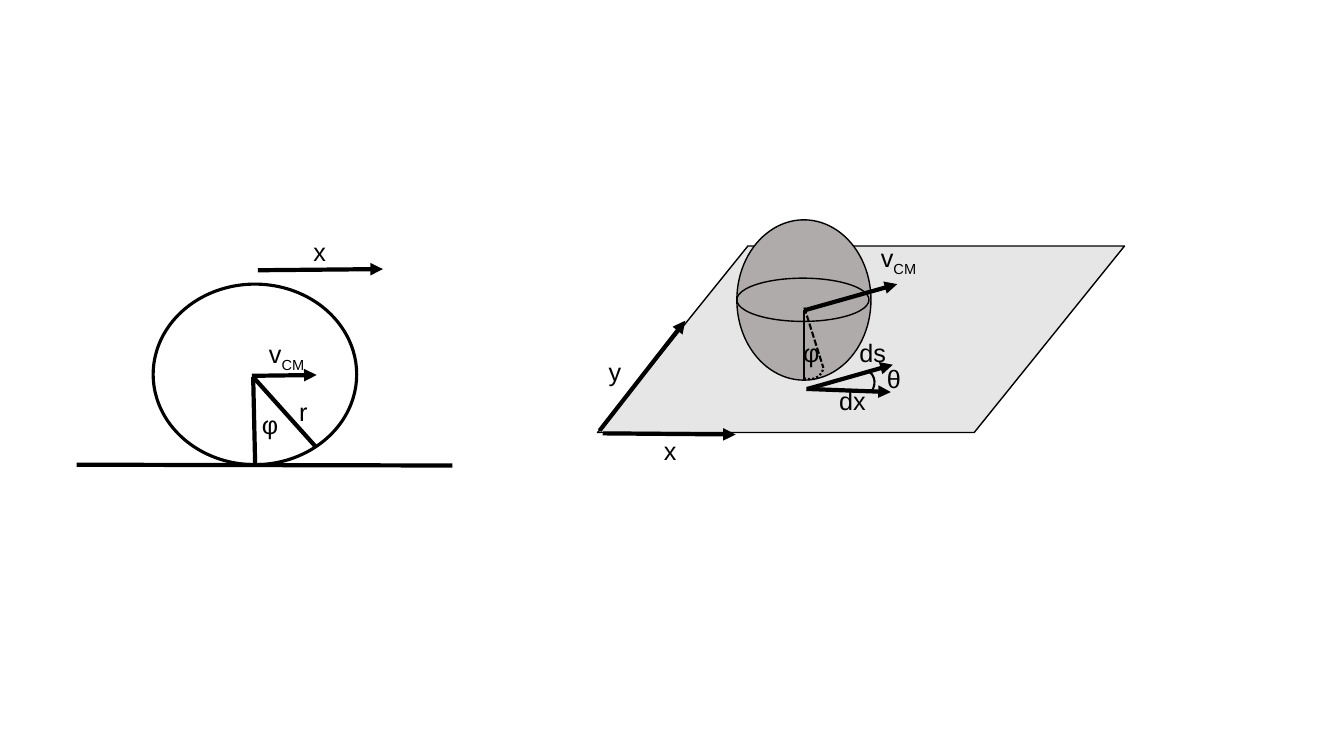
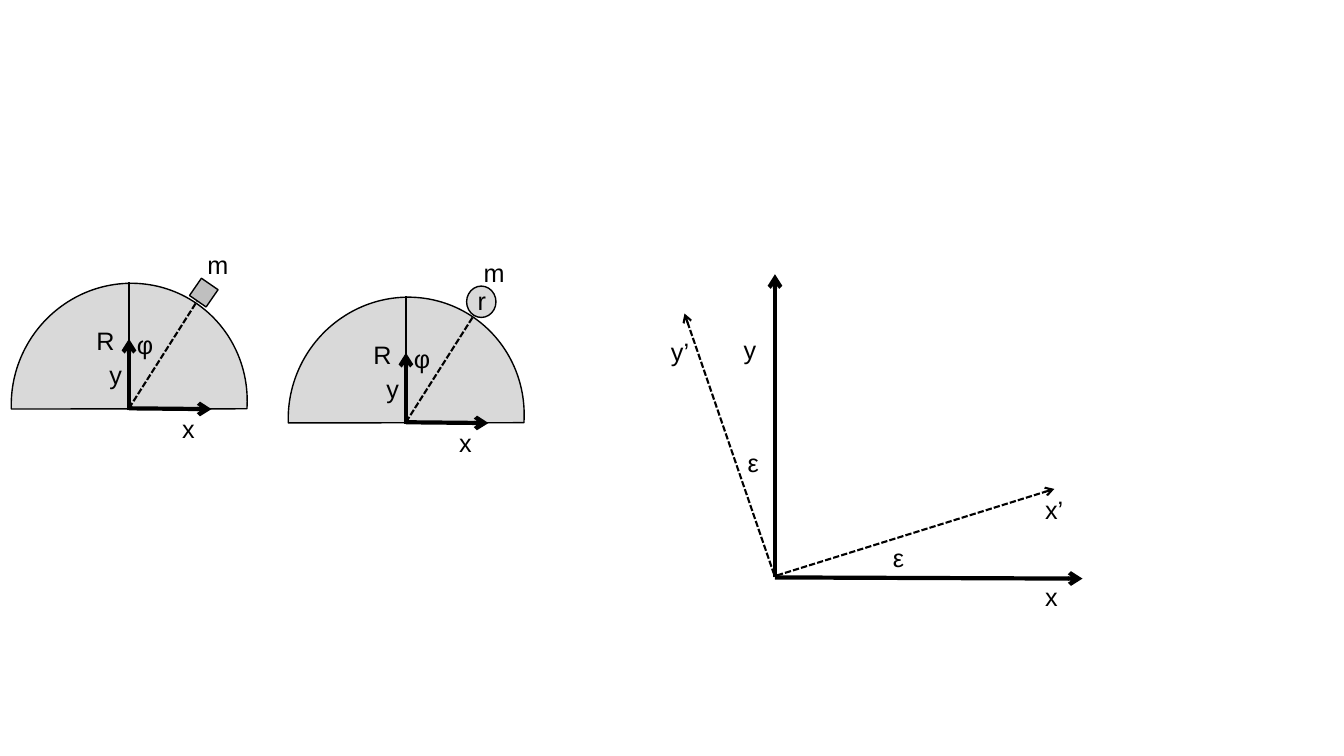
from dataclasses import dataclass

from lxml.etree import SubElement
from pptx import Presentation
from pptx.dml.color import RGBColor
from pptx.enum.dml import MSO_LINE_DASH_STYLE as Dash
from pptx.enum.shapes import MSO_CONNECTOR_TYPE as Link, MSO_SHAPE as Preset
from pptx.enum.text import MSO_AUTO_SIZE as AutoSize
from pptx.oxml.ns import qn
from pptx.util import Cm, Pt

# Shared style
COLORS = {
    "ink": "000000",
    "plane": "E7E6E6",
    "sphere": "AFABAB",
    "hill": "D9D9D9",
    "block": "BFBFBF",
}
FONT, TEXT_SIZE = "Arial", 18
HAIRLINE, THIN, MEDIUM, BOLD = 1, 1.5, 2.25, 3
LABEL_HEIGHT = 1.02
LABEL_WIDTHS = {
    "φ": 0.91, "r": 0.74, "x": 0.84, "y": 0.84, "vCM": 1.5, "θ": 0.86,
    "ds": 1.19, "dx": 1.19, "m": 1.04, "R": 0.97, "ε": 0.79,
    "x’": 0.97, "y’": 0.97,
}


# Elements, all lengths in centimetres
@dataclass
class Figure:
    preset: Preset
    left: float
    top: float
    width: float
    height: float
    fill: str = ""
    weight: float = HAIRLINE
    dash: Dash | None = None
    rotation: float = 0
    adjustments: tuple[float, ...] = ()


@dataclass
class Segment:
    start: tuple[float, float]
    end: tuple[float, float]
    weight: float = BOLD
    head: str = ""
    dash: Dash | None = None


@dataclass
class Label:
    left: float
    top: float
    text: str
    subscript: str = ""


Element = Figure | Segment | Label


def color(name: str) -> RGBColor:
    return RGBColor.from_string(COLORS[name])


def style_line(line, weight: float, dash: Dash | None) -> None:
    line.color.rgb = color("ink")
    line.width = Pt(weight)
    if dash is not None:
        line.dash_style = dash


def draw_figure(shapes, figure: Figure) -> None:
    shape = shapes.add_shape(figure.preset, Cm(figure.left), Cm(figure.top),
                             Cm(figure.width), Cm(figure.height))
    shape.shadow.inherit = False
    shape.rotation = figure.rotation
    for index, value in enumerate(figure.adjustments):
        shape.adjustments[index] = value
    if figure.fill:
        shape.fill.solid()
        shape.fill.fore_color.rgb = color(figure.fill)
    else:
        shape.fill.background()
    style_line(shape.line, figure.weight, figure.dash)


def draw_segment(shapes, segment: Segment) -> None:
    connector = shapes.add_connector(
        Link.STRAIGHT, *(Cm(value) for value in segment.start + segment.end))
    style_line(connector.line, segment.weight, segment.dash)
    if segment.head:
        SubElement(connector.get_or_add_ln(), qn("a:tailEnd"), type=segment.head)
    SubElement(connector._element.spPr, qn("a:effectLst"))


def draw_label(shapes, label: Label) -> None:
    width = LABEL_WIDTHS[label.text + label.subscript]
    box = shapes.add_textbox(Cm(label.left), Cm(label.top), Cm(width), Cm(LABEL_HEIGHT))
    frame = box.text_frame
    frame.word_wrap = False
    frame.auto_size = AutoSize.SHAPE_TO_FIT_TEXT
    para = frame.paragraphs[0]
    for text, baseline in ((label.text, 0), (label.subscript, -25000)):
        if not text:
            continue
        span = para.add_run()
        span.text = text
        span.font.name = FONT
        span.font.size = Pt(TEXT_SIZE)
        span.font.color.rgb = color("ink")
        if baseline:
            span._r.get_or_add_rPr().set("baseline", str(baseline))


DRAWERS = {Figure: draw_figure, Segment: draw_segment, Label: draw_label}


def draw_diagram(page, elements: list[Element]) -> None:
    group = page.shapes.add_group_shape()
    for element in elements:
        DRAWERS[type(element)](group.shapes, element)


def hill(x: float, y: float) -> list[Element]:
    """Half disc with its axes, centred on x, y."""
    return [
        Figure(Preset.CHORD, x - 3.02, y - 3.1, 6.05, 5.92, "hill",
               rotation=116.3, adjustments=(36.42, 147.96)),
        Segment((x, y), (x, y - 3.18), THIN),
        Segment((x, y), (x + 1.71, y - 2.69), THIN, dash=Dash.SQUARE_DOT),
        Label(x - 0.05, y - 2.11, "φ"),
        Label(x - 1.07, y - 2.21, "R"),
        Segment((x, y), (x + 2.08, y + 0.02), head="arrow"),
        Segment((x, y + 0.05), (x, y - 1.75), head="arrow"),
        Label(x + 1.09, y, "x"),
        Label(x - 0.74, y - 1.35, "y"),
    ]


# Slide 1: rolling wheel and rolling ball
rolling_wheel = [
    Segment((1.93, 11.71), (11.4, 11.73)),
    Figure(Preset.OVAL, 3.86, 7.16, 5.13, 4.55, weight=MEDIUM),
    Segment((6.38, 9.5), (7.95, 11.25)),
    Segment((6.38, 9.5), (6.43, 11.71)),
    Label(6.35, 10.19, "φ"),
    Label(7.29, 9.86, "r"),
    Segment((6.5, 6.81), (9.65, 6.78), head="triangle"),
    Label(7.65, 5.84, "x"),
    Segment((6.35, 9.47), (7.98, 9.45), head="triangle"),
    Label(6.53, 8.41, "v", "CM"),
]
rolling_ball = [
    Figure(Preset.PARALLELOGRAM, 15.06, 6.2, 13.28, 4.7, "plane", adjustments=(0.806,)),
    Figure(Preset.OVAL, 18.57, 5.54, 3.38, 4.04, "sphere"),
    Figure(Preset.OVAL, 18.57, 7.01, 3.33, 1.09),
    Segment((15.11, 10.85), (17.27, 8.08), head="triangle"),
    Segment((15.19, 10.92), (18.54, 10.95), head="triangle"),
    Label(16.48, 10.85, "x"),
    Label(15.09, 8.86, "y"),
    Segment((20.27, 7.82), (22.61, 7.16), head="triangle"),
    Label(21.95, 5.99, "v", "CM"),
    Segment((20.27, 7.8), (20.27, 9.58), THIN),
    Segment((20.27, 7.75), (20.75, 9.27), THIN, dash=Dash.SQUARE_DOT),
    Label(19.99, 8.38, "φ"),
    Figure(Preset.ARC, 20.04, 8.84, 0.66, 0.76, weight=THIN,
           dash=Dash.ROUND_DOT, rotation=105.3),
    Figure(Preset.ARC, 21.36, 9.3, 0.66, 0.76, weight=THIN, rotation=37.5),
    Label(22.1, 9.04, "θ"),
    Segment((20.35, 9.8), (22.5, 9.19), head="triangle"),
    Label(21.41, 8.38, "ds"),
    Segment((20.32, 9.8), (22.45, 9.88), head="triangle"),
    Label(20.9, 9.58, "dx"),
]

# Slide 2: bodies sliding off a hill and rotated axes
sliding_block = hill(3.25, 10.29) + [
    Figure(Preset.RECTANGLE, 4.88, 7.11, 0.51, 0.53, "block", rotation=34.6),
    Label(4.98, 6.15, "m"),
]
sliding_ball = hill(10.23, 10.64) + [
    Label(11.94, 6.35, "m"),
    Figure(Preset.OVAL, 11.76, 7.21, 0.74, 0.79, "hill"),
    Label(11.79, 7.06, "r"),
]
rotated_axes = [
    Segment((19.53, 14.55), (27.28, 14.58), head="arrow"),
    Segment((19.53, 14.55), (19.53, 6.91), head="arrow"),
    Label(26.09, 14.53, "x"),
    Label(18.49, 8.31, "y"),
    Segment((19.58, 14.5), (26.57, 12.32), THIN, "arrow", Dash.SQUARE_DOT),
    Label(22.25, 13.54, "ε"),
    Segment((19.51, 14.48), (17.25, 7.9), THIN, "arrow", Dash.SQUARE_DOT),
    Label(18.59, 11.15, "ε"),
    Label(16.66, 8.36, "y’"),
    Label(26.09, 12.32, "x’"),
]

# Deck
deck = Presentation()
deck.slide_width, deck.slide_height = Cm(33.87), Cm(19.05)
for diagrams in ((rolling_wheel, rolling_ball),
                 (sliding_block, sliding_ball, rotated_axes)):
    page = deck.slides.add_slide(deck.slide_layouts[6])
    for diagram in diagrams:
        draw_diagram(page, diagram)
deck.save("out.pptx")
